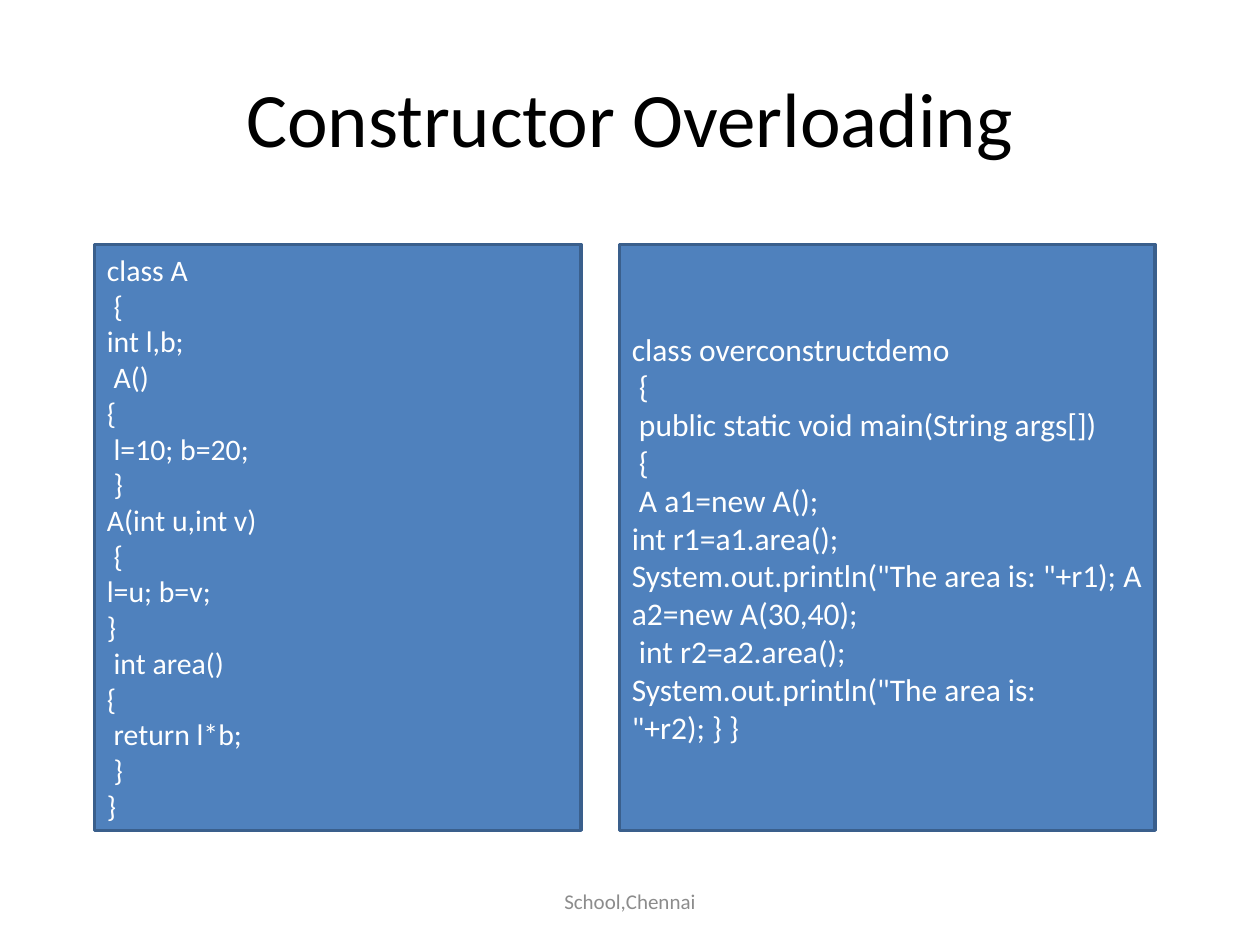
from pptx import Presentation
from pptx.dml.color import RGBColor
from pptx.enum.shapes import MSO_SHAPE as Shape
from pptx.enum.text import MSO_ANCHOR as Anchor, PP_ALIGN as Align
from pptx.util import Pt

BLACK = RGBColor(0x00, 0x00, 0x00)
WHITE = RGBColor(0xFF, 0xFF, 0xFF)
GRAY = RGBColor(0x8C, 0x8C, 0x8C)
BLUE = RGBColor(0x4F, 0x81, 0xBD)
EDGE = RGBColor(0x3A, 0x5F, 0x8C)

AREA = """class A
 {
int l,b;
 A()
{
 l=10; b=20;
 }
A(int u,int v)
 {
l=u; b=v;
}
 int area()
{
 return l*b;
 }
}"""

DEMO = """class overconstructdemo
 {
 public static void main(String args[])
 {
 A a1=new A();
int r1=a1.area(); System.out.println("The area is: "+r1); A a2=new A(30,40);
 int r2=a2.area(); System.out.println("The area is: "+r2); } }"""


def write(shape, text, size, color, align=Align.CENTER):
    frame = shape.text_frame
    frame.word_wrap = True
    frame.vertical_anchor = Anchor.MIDDLE
    frame.text = text
    for para in frame.paragraphs:
        para.alignment = align
        font = para.font
        font.name, font.size = "Calibri", Pt(size)
        font.color.rgb = color


deck = Presentation()
deck.slide_width, deck.slide_height = Pt(720), Pt(540)
slide = deck.slides.add_slide(deck.slide_layouts[6])
shapes = slide.shapes

# Title and footer
title = shapes.add_textbox(Pt(36), Pt(21.6), Pt(648), Pt(90))
write(title, "Constructor Overloading", 44, BLACK)
footer = shapes.add_textbox(Pt(246), Pt(500.5), Pt(228), Pt(28.8))
write(footer, "School,Chennai", 12, GRAY)

# Code panels
for left, width, code, size in ((54, 278, AREA, 17), (354, 306, DEMO, 18)):
    panel = shapes.add_shape(Shape.RECTANGLE, Pt(left), Pt(139.7), Pt(width), Pt(334.8))
    panel.shadow.inherit = False
    panel.fill.solid()
    panel.fill.fore_color.rgb = BLUE
    panel.line.color.rgb = EDGE
    panel.line.width = Pt(2)
    write(panel, code, size, WHITE, align=Align.LEFT)

deck.save("out.pptx")
